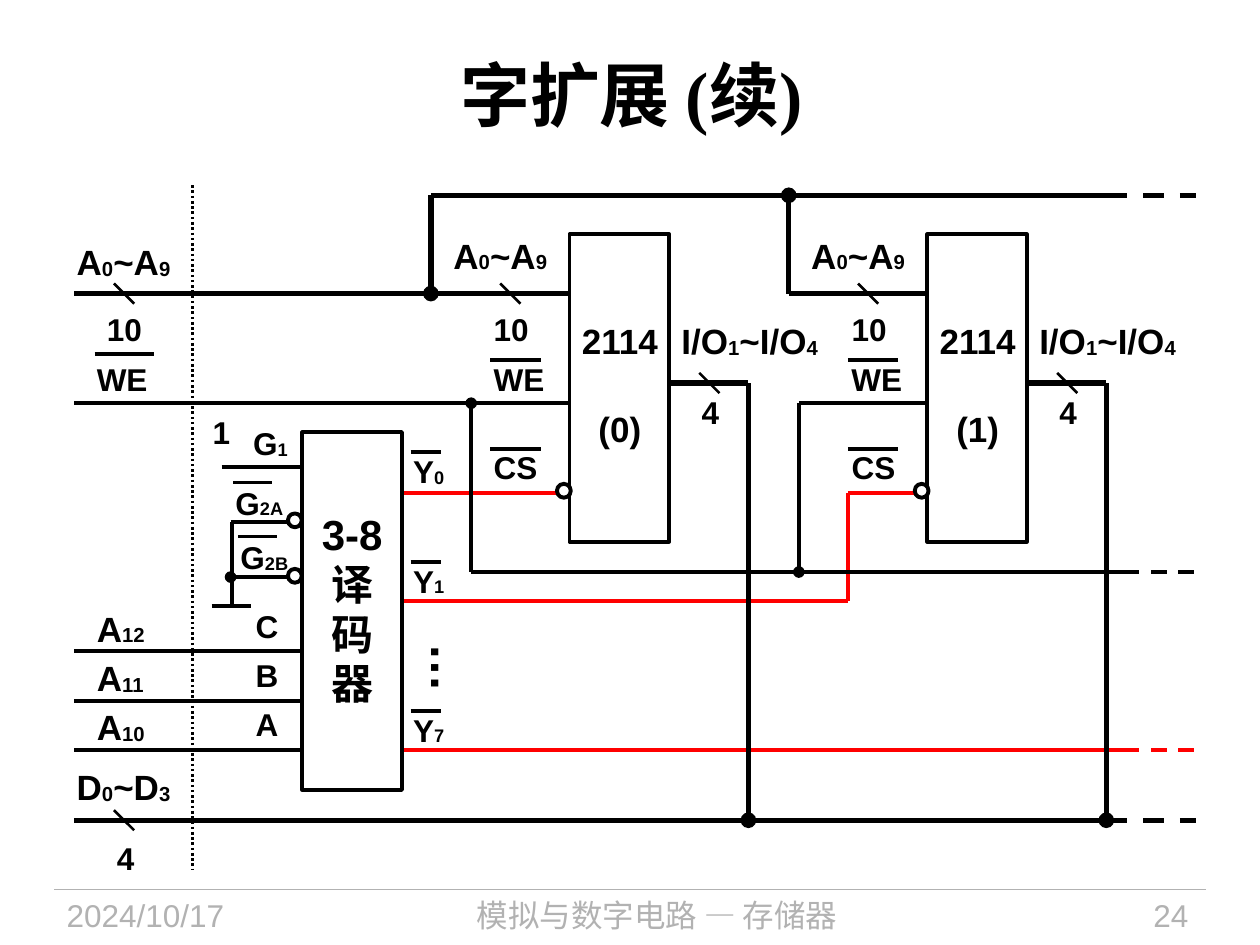
from lxml.etree import SubElement
from pptx import Presentation
from pptx.dml.color import RGBColor
from pptx.enum.dml import MSO_LINE
from pptx.enum.shapes import MSO_CONNECTOR, MSO_SHAPE
from pptx.enum.text import MSO_ANCHOR, MSO_AUTO_SIZE, PP_ALIGN
from pptx.oxml.ns import qn
from pptx.util import Inches, Pt

BLACK = RGBColor(0x00, 0x00, 0x00)
WHITE = RGBColor(0xFF, 0xFF, 0xFF)
RED = RGBColor(0xFF, 0x00, 0x00)
GREY = RGBColor(0xB2, 0xB2, 0xB2)
CJK = "Noto Sans CJK SC"
CHIP_PITCH = 2.84
BUS_LEFT, BUS_RIGHT = 0.59, 9.49


def write(paragraph, parts, size, font="Arial", color=BLACK, bold=True):
    """Add runs to a paragraph; every second part is a subscript."""
    for position, part in enumerate(parts):
        run = paragraph.add_run()
        run.text = part
        run.font.size = Pt(size)
        run.font.name = font
        run.font.bold = bold
        run.font.color.rgb = color
        properties = run._r.get_or_add_rPr()
        SubElement(properties, qn("a:ea")).set("typeface", CJK)
        if position % 2:
            properties.set("baseline", "-2000")


def text_frame(slide, left, top, width, height, wrap=True):
    """Add a text box and return its frame."""
    frame = slide.shapes.add_textbox(
        Inches(left), Inches(top), Inches(width), Inches(height)).text_frame
    frame.word_wrap = wrap
    return frame


def label(slide, left, top, width, *parts, size=18):
    """Add a one-line bold signal label."""
    frame = text_frame(slide, left, top, width, 0.43 if size == 20 else 0.4, False)
    frame.auto_size = MSO_AUTO_SIZE.SHAPE_TO_FIT_TEXT
    write(frame.paragraphs[0], parts, size)


def caption(slide, left, top, width, height, text, align, size, font, color, bold):
    """Add a title or footer text."""
    frame = text_frame(slide, left, top, width, height)
    frame.paragraphs[0].alignment = align
    write(frame.paragraphs[0], [text], size, font, color, bold)
    return frame


def wire(slide, x1, y1, x2, y2, weight=2.25, color=BLACK, dash=None, dot=None):
    """Draw a straight wire, optionally dashed or with a junction dot at one end."""
    line = slide.shapes.add_connector(
        MSO_CONNECTOR.STRAIGHT, Inches(x1), Inches(y1), Inches(x2), Inches(y2))
    line.line.width = Pt(weight)
    line.line.color.rgb = color
    if dash is not None:
        line.line.dash_style = dash
    if dot:
        SubElement(line.line._get_or_add_ln(), qn(f"a:{dot}End")).set("type", "oval")
    SubElement(line._element.spPr, qn("a:effectLst"))


def bus_slash(slide, x, y):
    """Mark a bus with a short slash centred on the given point."""
    wire(slide, x - 0.08, y - 0.08, x + 0.08, y + 0.08, 1.5)


def block(slide, left, top, width, height, shape=MSO_SHAPE.RECTANGLE, fill=None):
    """Draw an outlined chip body or inversion bubble."""
    body = slide.shapes.add_shape(
        shape, Inches(left), Inches(top), Inches(width), Inches(height))
    body.shadow.inherit = False
    body.line.color.rgb = BLACK
    body.line.width = Pt(2.25)
    if fill is None:
        body.fill.background()
    else:
        body.fill.solid()
        body.fill.fore_color.rgb = fill


def bubble(slide, left, top):
    """Draw an active-low inversion bubble."""
    block(slide, left, top, 0.11, 0.11, MSO_SHAPE.OVAL, WHITE)


def memory_chip(slide, number, address_start, write_start):
    """Draw one 2114 memory chip with its pins and labels."""
    dx = number * CHIP_PITCH
    left, right = 4.52 + dx, 5.31 + dx
    block(slide, left, 1.86, 0.79, 2.44)
    frame = text_frame(slide, 4.37 + dx, 2.49, 1.1, 1.1)
    name, index = frame.paragraphs[0], frame.add_paragraph()
    name.alignment = index.alignment = PP_ALIGN.CENTER
    index.space_before = Pt(26)
    write(name, ["2114"], 20)
    write(index, [f"({number})"], 20)

    wire(slide, address_start, 2.33, left, 2.33, 3)
    wire(slide, write_start, 3.2, left, 3.2)
    wire(slide, right, 3.04, 5.94 + dx, 3.04, 3)
    wire(slide, 5.94 + dx, 3.04, 5.94 + dx, 6.51, 3, dot="tail")
    bus_slash(slide, 4.05 + dx, 2.33)
    bus_slash(slide, 5.63 + dx, 3.04)

    label(slide, 3.5 + dx, 1.81, 0.97, "A", "0", "~A", "9", size=20)
    label(slide, right, 2.49, 1.3, "I/O", "1", "~I/O", "4", size=20)
    label(slide, 3.82 + dx, 2.41, 0.48, "10")
    label(slide, 5.47 + dx, 3.07, 0.34, "4")
    for pin, top, width, bar in (("WE", 2.81, 0.6, 2.86), ("CS", 3.51, 0.55, 3.56)):
        label(slide, 3.82 + dx, top, width, pin)
        wire(slide, 3.89 + dx, bar, 4.29 + dx, bar)
    bubble(slide, 4.42 + dx, 3.84)


def decoder(slide):
    """Draw the 3-8 decoder with its enables, inputs and outputs."""
    block(slide, 2.4, 3.43, 0.79, 2.84)
    frame = text_frame(slide, 2.32, 3.99, 0.95, 1.7)
    for row, text in enumerate(("3-8", "译", "码", "器")):
        paragraph = frame.add_paragraph() if row else frame.paragraphs[0]
        paragraph.alignment = PP_ALIGN.CENTER
        paragraph.line_spacing = Pt(28.5)
        write(paragraph, [text], 24)

    for row, (pin, address) in enumerate((("C", "12"), ("B", "11"), ("A", "10"))):
        y = 5.17 + row * 0.39
        wire(slide, BUS_LEFT, y, 2.4, y)
        label(slide, 1.93, y - 0.4, 0.38, pin)
        label(slide, 0.67, y - 0.4, 0.6, "A", address, size=20)

    for output, top in (("0", 3.54), ("1", 4.41), ("7", 5.59)):
        label(slide, 3.18, top, 0.46, "Y", output)
        wire(slide, 3.26, top + 0.05, 3.5, top + 0.05)
    dots = text_frame(slide, 3.19, 5.01, 0.67, 0.49, False)
    dots._txBody.bodyPr.set("vert", "eaVert")
    write(dots.paragraphs[0], ["…"], 28)

    label(slide, 1.59, 3.23, 0.34, "1")
    label(slide, 1.91, 3.32, 0.49, "G", "1")
    wire(slide, 1.76, 3.71, 2.39, 3.71)
    for pin, left, top, y, dot in (("2A", 1.77, 3.79, 4.14, None),
                                   ("2B", 1.81, 4.22, 4.58, "head")):
        label(slide, left, top, 0.61, "G", pin)
        wire(slide, left + 0.08, top + 0.04, left + 0.39, top + 0.04, 1.5)
        wire(slide, 1.83, y, 2.38, y, dot=dot)
        bubble(slide, 2.285, y - 0.065)
    wire(slide, 1.84, 4.14, 1.84, 4.81)
    wire(slide, 1.68, 4.81, 1.99, 4.81)


def select_wires(slide):
    """Draw the red chip-select wires from the decoder outputs."""
    for x1, y1, x2, y2 in ((3.19, 3.91, 4.52, 3.91), (3.19, 4.77, 6.73, 4.77),
                           (6.73, 3.91, 6.73, 4.77), (6.73, 3.91, 7.36, 3.91),
                           (3.19, 5.95, 9.02, 5.95)):
        wire(slide, x1, y1, x2, y2, color=RED)
    wire(slide, 8.7, 5.95, BUS_RIGHT, 5.95, color=RED, dash=MSO_LINE.DASH)


def shared_buses(slide):
    """Draw the address, write-enable and data buses shared by the chips."""
    for start, solid_end, dash_start, y, weight in (
            (3.42, 8.78, 8.78, 1.55, 3), (3.74, 8.94, 8.7, 4.54, 2.25),
            (BUS_LEFT, 8.82, 8.78, 6.51, 3)):
        wire(slide, start, y, solid_end, y, weight)
        wire(slide, dash_start, y, BUS_RIGHT, y, weight, dash=MSO_LINE.DASH)
    for x, top, bottom, weight, dot in (
            (3.42, 1.55, 2.33, 3, "tail"), (6.26, 1.55, 2.33, 3, "head"),
            (3.74, 3.2, 4.54, 2.25, "head"), (6.34, 3.2, 4.54, 2.25, "tail")):
        wire(slide, x, top, x, bottom, weight, dot=dot)
    wire(slide, 1.53, 1.47, 1.53, 6.9, 1.5, dash=MSO_LINE.ROUND_DOT)

    for letter, last, top, y, width, left, count_top, count in (
            ("A", "9", 1.86, 2.33, 0.48, 0.75, 2.41, "10"),
            ("D", "3", 6.03, 6.51, 0.34, 0.83, 6.61, "4")):
        label(slide, 0.51, top, 0.97, letter, "0", f"~{letter}", last, size=20)
        bus_slash(slide, 0.985, y)
        label(slide, left, count_top, width, count)
    label(slide, 0.67, 2.81, 0.6, "WE")
    wire(slide, 0.75, 2.81, 1.22, 2.81)


def main():
    """Build the word-expansion slide."""
    deck = Presentation()
    deck.slide_width, deck.slide_height = Inches(10), Inches(7.5)
    slide = deck.slides.add_slide(deck.slide_layouts[6])
    title = caption(slide, 0.51, 0.28, 9, 0.93, "字扩展 (续)", PP_ALIGN.CENTER,
                    40, "Times New Roman", BLACK, True)
    title.vertical_anchor = MSO_ANCHOR.MIDDLE
    wire(slide, 0.43, 7.06, 9.57, 7.06, 0.75, GREY)
    for left, width, text, align, font in (
            (0.43, 1.88, "2024/10/17", PP_ALIGN.LEFT, "Arial"),
            (2.4, 5.63, "模拟与数字电路 — 存储器", PP_ALIGN.CENTER, CJK),
            (8.2, 1.33, "24", PP_ALIGN.RIGHT, "Arial")):
        caption(slide, left, 7.06, width, 0.44, text, align, 18, font, GREY, False)
    select_wires(slide)
    shared_buses(slide)
    memory_chip(slide, 0, BUS_LEFT, BUS_LEFT)
    memory_chip(slide, 1, 6.26, 6.34)
    decoder(slide)
    deck.save("out.pptx")


if __name__ == "__main__":
    main()
